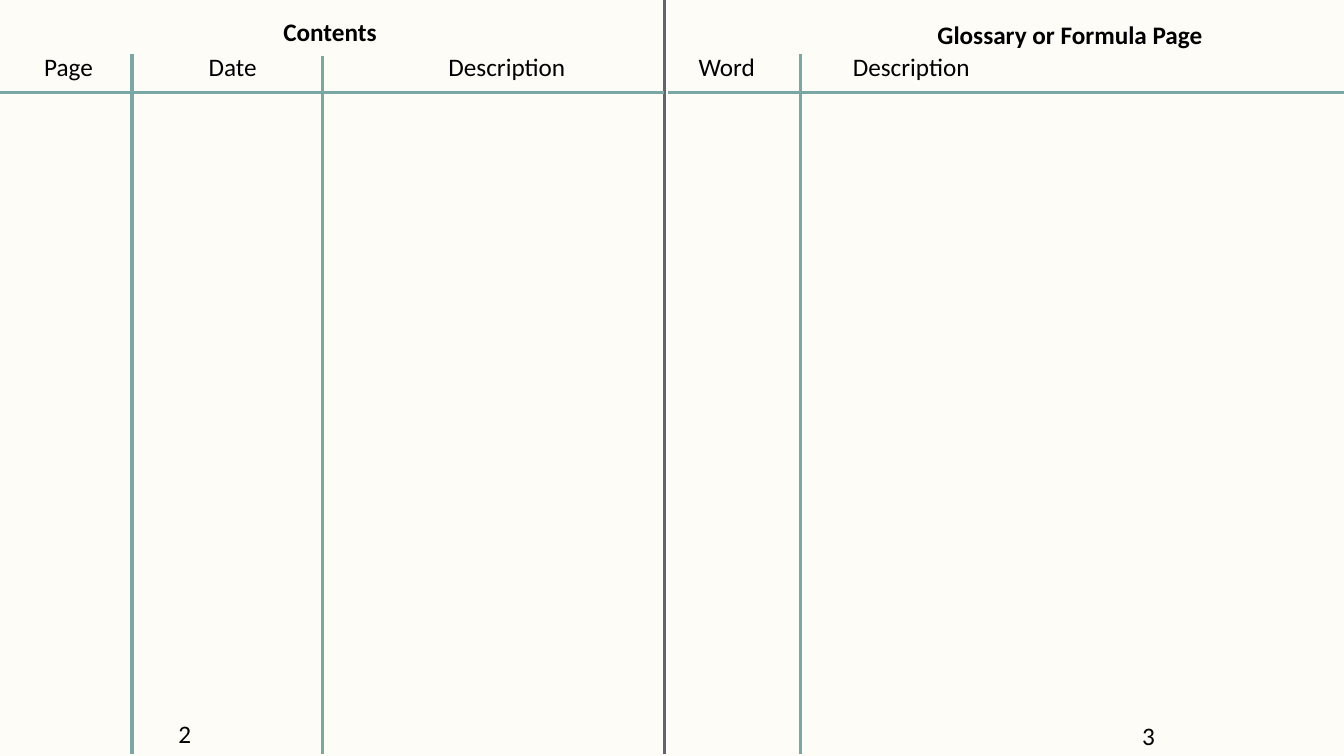
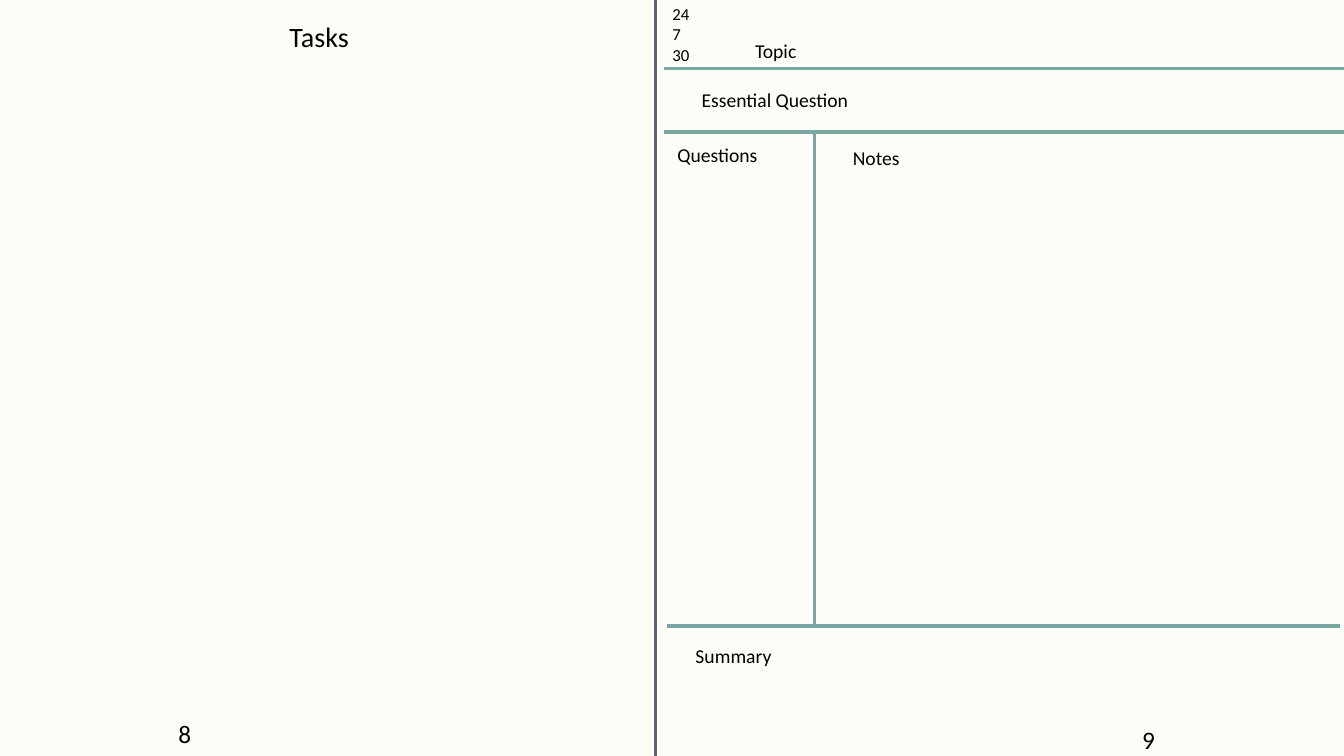
from dataclasses import dataclass

from lxml import etree
from pptx import Presentation
from pptx import util as u
from pptx.dml.color import RGBColor
from pptx.enum import shapes, text
from pptx.oxml.ns import qn

PX = 9144  # EMU per px, 100 px to the inch
WIDTH, HEIGHT = 1333, 750


@dataclass(frozen=True)
class Theme:
    paper: RGBColor = RGBColor(0xFE, 0xFC, 0xF7)
    ink: RGBColor = RGBColor(0x00, 0x00, 0x00)
    spine: RGBColor = RGBColor(0x60, 0x63, 0x72)
    rule: RGBColor = RGBColor(0x79, 0xA8, 0xA4)
    font: str = "Calibri"
    line: float = 2.25
    title: int = 20
    heading: int = 18
    label: int = 14
    small: int = 12


THEME = Theme()


@dataclass(frozen=True)
class Label:
    words: str
    x: int
    y: int
    w: int
    h: int = 40
    size: int = THEME.heading
    bold: bool = False
    wrap: bool = False


@dataclass(frozen=True)
class Rule:
    x1: int
    y1: int
    x2: int
    y2: int
    color: RGBColor = THEME.rule


@dataclass(frozen=True)
class Spread:
    title: Label
    spine_x: int
    spine_end: int
    left_page: int
    right_page_y: int
    rules: tuple[Rule, ...]
    labels: tuple[Label, ...]


def px(n: int) -> u.Emu:
    return u.Emu(n * PX)


def draw_rule(slide, rule: Rule) -> None:
    ends = map(px, (rule.x1, rule.y1, rule.x2, rule.y2))
    line = slide.shapes.add_connector(shapes.MSO_CONNECTOR.STRAIGHT, *ends)
    line.line.color.rgb = rule.color
    line.line.width = u.Pt(THEME.line)
    etree.SubElement(line._element.spPr, qn("a:effectLst"))


def write_label(sp, label: Label) -> None:
    """Place a text box or placeholder and format its text."""
    sp.left, sp.top, sp.width, sp.height = map(
        px, (label.x, label.y, label.w, label.h))
    tf = sp.text_frame
    tf.text = label.words
    tf.word_wrap = label.wrap
    tf.auto_size = text.MSO_AUTO_SIZE.SHAPE_TO_FIT_TEXT
    tf.vertical_anchor = text.MSO_ANCHOR.TOP
    for p in tf.paragraphs:
        p.alignment = text.PP_ALIGN.LEFT
        for r in p.runs:
            r.font.name = THEME.font
            r.font.size = u.Pt(label.size)
            r.font.bold = label.bold
            r.font.color.rgb = THEME.ink


def draw_label(slide, label: Label) -> None:
    write_label(slide.shapes.add_textbox(0, 0, 0, 0), label)


def draw_spread(prs, spread: Spread) -> None:
    slide = prs.slides.add_slide(prs.slide_layouts.get_by_name("Title Only"))
    write_label(slide.shapes.title, spread.title)

    # Spine and page numbers
    x = spread.spine_x
    draw_rule(slide, Rule(x, 0, x, spread.spine_end, THEME.spine))
    draw_label(slide, Label(str(spread.left_page), 167, 708, 33))
    draw_label(slide, Label(str(spread.left_page + 1), 1123,
                            spread.right_page_y, 60, wrap=True))

    # Ruled areas and their headings
    for rule in spread.rules:
        draw_rule(slide, rule)
    for label in spread.labels:
        draw_label(slide, label)


CONTENTS = Spread(
    title=Label("Contents", 271, 11, 113, bold=True),
    spine_x=659, spine_end=748, left_page=2, right_page_y=710,
    rules=(
        Rule(0, 92, 659, 92),
        Rule(663, 92, WIDTH, 92),
        Rule(131, 54, 131, 748),
        Rule(320, 56, 320, 748),
        Rule(794, 54, 794, 748),
    ),
    labels=(
        Label("Page", 34, 46, 69),
        Label("Date", 197, 46, 68),
        Label("Description", 435, 46, 153, wrap=True),
        Label("Glossary or Formula Page", 920, 14, 283, bold=True, wrap=True),
        Label("Word", 683, 46, 102, wrap=True),
        Label("Description", 836, 46, 168, wrap=True),
    ),
)

NOTES = Spread(
    title=Label("Tasks", 277, 14, 80, 44, THEME.title),
    spine_x=650, spine_end=HEIGHT, left_page=8, right_page_y=714,
    rules=(
        Rule(659, 68, WIDTH, 68),
        Rule(659, 131, WIDTH, 131),
        Rule(662, 621, 1329, 621),
        Rule(808, 131, 808, 621),
    ),
    labels=(
        Label("24\n7\n30", 657, -1, 47, 71, THEME.small, wrap=True),
        Label("Topic", 739, 34, 62, 34, THEME.label),
        Label("Essential Question", 686, 82, 168, 34, THEME.label),
        Label("Questions", 662, 137, 101, 34, THEME.label),
        Label("Notes", 836, 140, 149, 34, THEME.label, wrap=True),
        Label("Summary", 680, 634, 96, 34, THEME.label),
    ),
)


def main() -> None:
    prs = Presentation()
    prs.slide_width, prs.slide_height = px(WIDTH), px(HEIGHT)
    fill = prs.slide_master.background.fill
    fill.solid()
    fill.fore_color.rgb = THEME.paper
    for spread in (CONTENTS, NOTES):
        draw_spread(prs, spread)
    prs.save("out.pptx")


if __name__ == "__main__":
    main()
